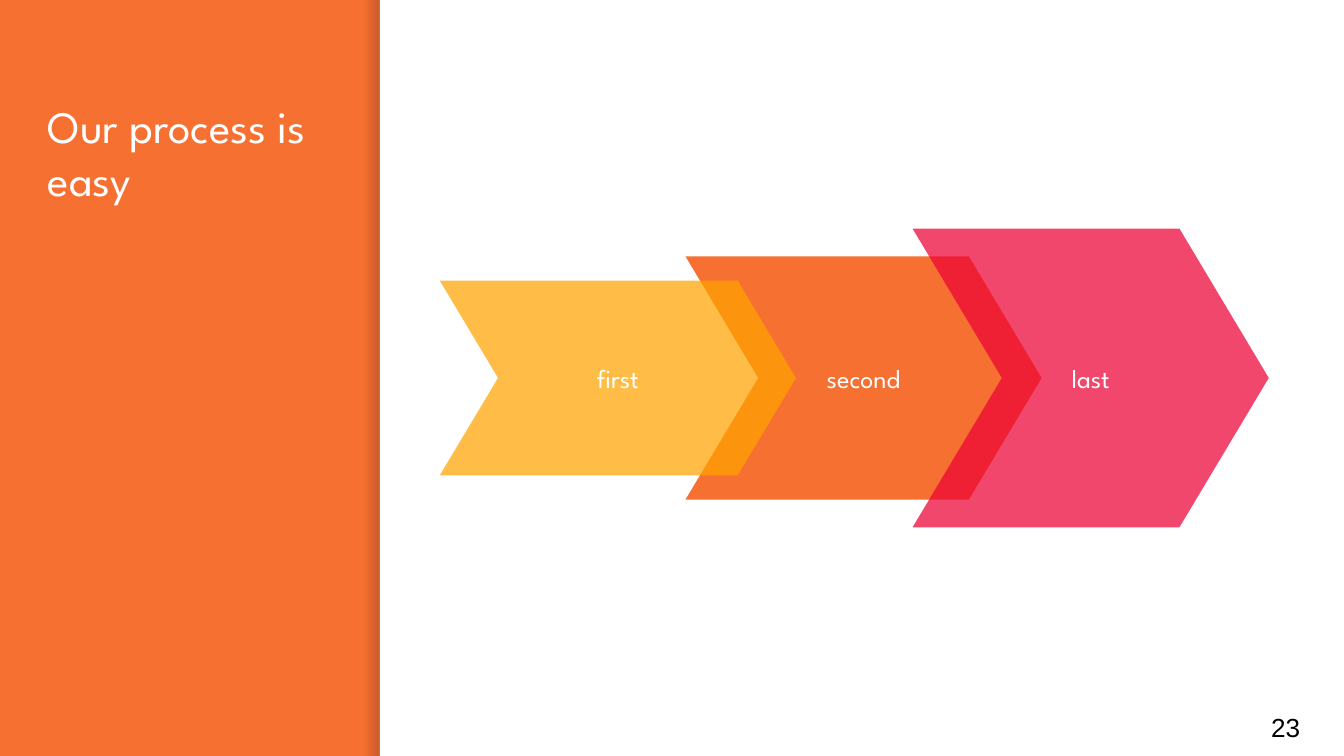
import pptx
import pptx.dml.color
import pptx.enum.dml
import pptx.enum.shapes
import pptx.enum.text
import pptx.oxml
import pptx.oxml.ns
import pptx.util

Pt = pptx.util.Pt
RGBColor = pptx.dml.color.RGBColor
Shape = pptx.enum.shapes.MSO_SHAPE
Anchor = pptx.enum.text.MSO_ANCHOR
Align = pptx.enum.text.PP_ALIGN

ORANGE = RGBColor(0xF6, 0x70, 0x31)
AMBER = RGBColor(0xFF, 0xA4, 0x00)
CRIMSON = RGBColor(0xED, 0x00, 0x36)
WHITE = RGBColor(0xFF, 0xFF, 0xFF)
BLACK = RGBColor(0, 0, 0)
SHADE = RGBColor(0, 0, 0x14)

WIDTH, HEIGHT = 720, 405
SIDEBAR = 203.5
HEADING_FONT = "League Spartan"

# Label, left edge, height, colour and opacity, from back to front
STEPS = [
    ("second", 367.2, 130.4, ORANGE, 100),
    ("last", 488.9, 160, CRIMSON, 72),
    ("first", 235.6, 104.4, AMBER, 72),
]


def set_opacity(color_parent, percent):
    """Add an alpha value to the RGB colour inside a fill or gradient stop."""
    color = color_parent.find(".//" + pptx.oxml.ns.qn("a:srgbClr"))
    namespace = pptx.oxml.ns.nsdecls("a")
    color.append(pptx.oxml.parse_xml(f'<a:alpha {namespace} val="{percent * 1000}"/>'))


def add_plain_shape(slide, kind, box):
    shape = slide.shapes.add_shape(kind, *map(Pt, box))
    shape.shadow.inherit = False
    shape.line.fill.background()
    return shape


def write_text(shape, text, font, size, color, align, anchor):
    frame = shape.text_frame
    frame.text = text
    frame_format = {
        "word_wrap": True,
        "auto_size": pptx.enum.text.MSO_AUTO_SIZE.NONE,
        "vertical_anchor": anchor,
        **{f"margin_{side}": Pt(7.2) for side in ("left", "right", "top", "bottom")},
    }
    for name, value in frame_format.items():
        setattr(frame, name, value)
    paragraph = frame.paragraphs[0]
    paragraph.alignment = align
    run_font = paragraph.runs[0].font
    for name, value in {"name": font, "size": Pt(size)}.items():
        setattr(run_font, name, value)
    run_font.color.rgb = color


def add_background(slide, box):
    """Colour the slide, and lay a white panel with a soft shade at its left."""
    slide.background.fill.solid()
    slide.background.fill.fore_color.rgb = ORANGE
    left, top, _, height = box

    shade_width = 9
    shade = add_plain_shape(slide, Shape.RECTANGLE,
                            (left - shade_width, top, shade_width, height))
    shade.fill.gradient()
    shade.fill.gradient_angle = 0
    for stop, opacity in zip(shade.fill.gradient_stops, (0, 20)):
        stop.color.rgb = SHADE
        set_opacity(shade.element.findall(".//" + pptx.oxml.ns.qn("a:gs"))[opacity // 20],
                    opacity)

    panel = add_plain_shape(slide, Shape.RECTANGLE, box)
    panel.fill.solid()
    panel.fill.fore_color.rgb = WHITE


def place_title(slide, box):
    title = slide.shapes.title
    for name, value in zip(("left", "top", "width", "height"), box):
        setattr(title, name, Pt(value))
    write_text(title, "Our process is easy", HEADING_FONT, 24, WHITE,
               Align.LEFT, Anchor.TOP)


def add_process(slide, box):
    """Place the growing chevrons, each centred on the middle of the box."""
    _, top, _, box_height = box
    middle = top + box_height / 2
    for label, left, height, color, opacity in STEPS:
        chevron = add_plain_shape(slide, Shape.CHEVRON,
                                  (left, middle - height / 2, 190.8, height))
        chevron.adjustments[0] = 0.299
        chevron.fill.solid()
        chevron.fill.fore_color.rgb = color
        if opacity < 100:
            set_opacity(chevron.element.spPr, opacity)
        write_text(chevron, label, HEADING_FONT, 14, WHITE,
                   Align.CENTER, Anchor.MIDDLE)


def add_page_number(slide, box):
    number = slide.shapes.add_textbox(*map(Pt, box))
    write_text(number, "23", "Arial", 14, BLACK, Align.LEFT, Anchor.MIDDLE)


def main():
    presentation = pptx.Presentation()
    presentation.slide_width, presentation.slide_height = Pt(WIDTH), Pt(HEIGHT)
    slide = presentation.slides.add_slide(presentation.slide_layouts[5])
    panel = (SIDEBAR, 0, WIDTH - SIDEBAR, HEIGHT)
    add_background(slide, panel)
    place_title(slide, (18.5, 45.5, 161.5, 313))
    add_process(slide, panel)
    add_page_number(slide, (673.9, 374, 43.2, 31))
    presentation.save("out.pptx")


if __name__ == "__main__":
    main()
